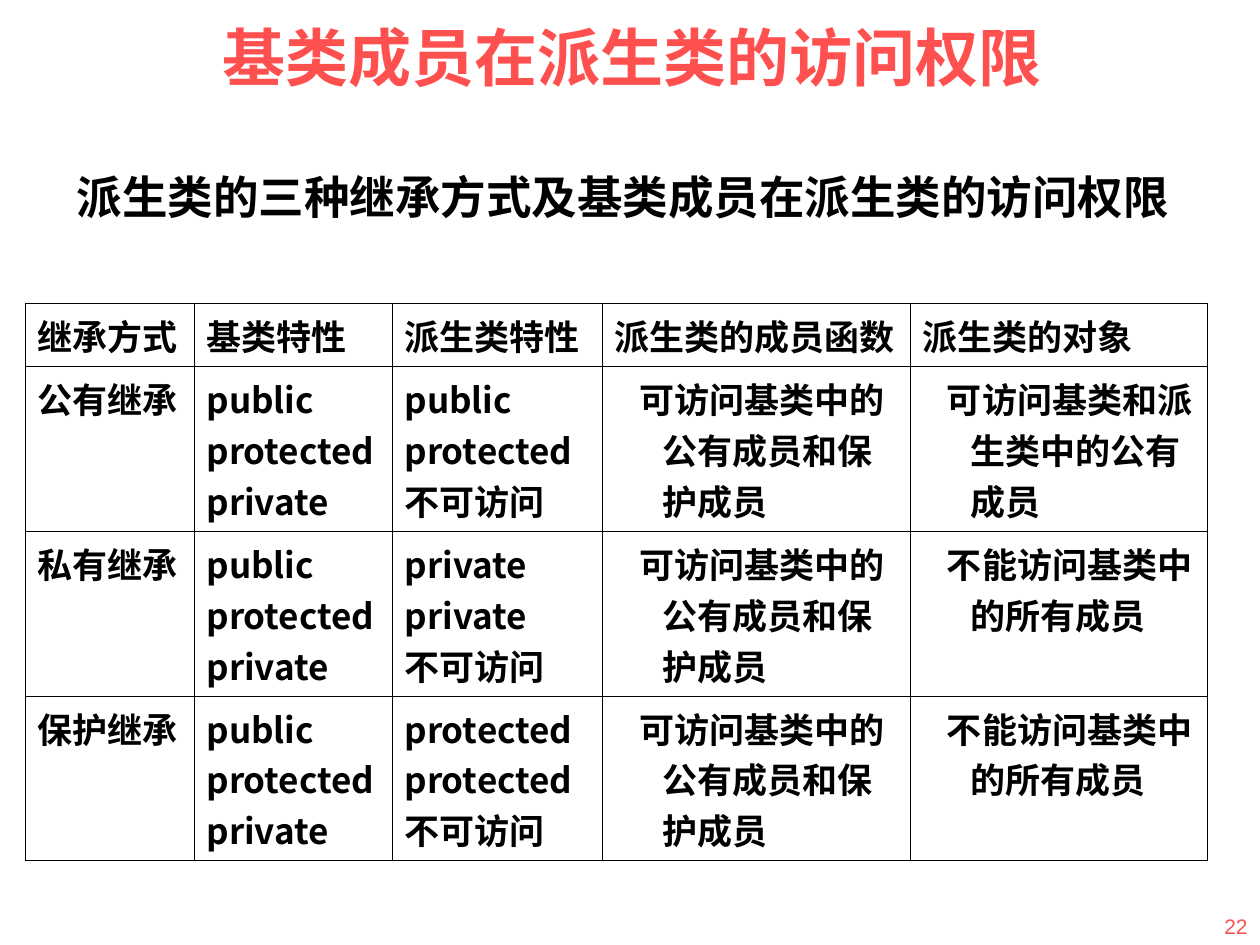
from lxml import etree
from pptx import Presentation
from pptx.dml.color import RGBColor
from pptx.enum.text import MSO_ANCHOR, PP_ALIGN
from pptx.oxml.ns import qn
from pptx.util import Pt

LEFT, CENTER, RIGHT = PP_ALIGN.LEFT, PP_ALIGN.CENTER, PP_ALIGN.RIGHT
MIDDLE, BOTTOM = MSO_ANCHOR.MIDDLE, MSO_ANCHOR.BOTTOM
CORAL = RGBColor(0xFF, 0x50, 0x50)
BLACK = RGBColor(0, 0, 0)
CJK_FONT = "Noto Sans CJK SC"

TITLE = "基类成员在派生类的访问权限 "
SUBTITLE = "派生类的三种继承方式及基类成员在派生类的访问权限"
PAGE_NUMBER = "22"

BASE_ACCESS = ["public", "protected", "private"]
MEMBER_ACCESS = ["可访问基类中的公有成员和保护成员"]
NO_OBJECT_ACCESS = ["不能访问基类中的所有成员"]
HEADER = [["继承方式"], ["基类特性"], ["派生类特性"], ["派生类的成员函数"], ["派生类的对象"]]
BODY = [
    [["公有继承"], BASE_ACCESS, ["public", "protected", "不可访问"],
     MEMBER_ACCESS, ["可访问基类和派生类中的公有成员"]],
    [["私有继承"], BASE_ACCESS, ["private", "private", "不可访问"],
     MEMBER_ACCESS, NO_OBJECT_ACCESS],
    [["保护继承"], BASE_ACCESS, ["protected", "protected", "不可访问"],
     MEMBER_ACCESS, NO_OBJECT_ACCESS],
]
COLUMN_WIDTHS = [96.6, 113.2, 120, 176, 170.2]
ROW_HEIGHTS = [36.2, 94.1, 94.1, 94.1]
TABLE_LEFT, TABLE_TOP = 14.2, 173.4
HANGING = 27.4
FIRST_LINE_OFFSET = 14
FIRST_DESCRIPTION_COLUMN = 3
BORDER_WIDTH = 0.45


def write_text(frame, lines, size, font, color, bold=False, align=LEFT, hanging=None, first_line=0):
    frame.word_wrap = True
    for index, line in enumerate(lines):
        paragraph = frame.paragraphs[0] if index == 0 else frame.add_paragraph()
        paragraph.alignment = align
        if hanging is not None:
            properties = paragraph._p.get_or_add_pPr()
            properties.set("marL", str(Pt(hanging)))
            properties.set("indent", str(Pt(first_line - hanging)))
        run = paragraph.add_run()
        run.text = line
        run.font.size = Pt(size)
        run.font.bold = bold
        run.font.color.rgb = color
        run.font.name = font
        etree.SubElement(run._r.get_or_add_rPr(), qn("a:ea"), typeface=CJK_FONT)


def add_text_box(slide, text, left, top, width, height, anchor=MIDDLE, **text_format):
    box = slide.shapes.add_textbox(Pt(left), Pt(top), Pt(width), Pt(height))
    box.text_frame.vertical_anchor = anchor
    write_text(box.text_frame, [text], **text_format)


def set_borders(cell):
    properties = cell._tc.get_or_add_tcPr()
    for side in ("lnL", "lnR", "lnT", "lnB"):
        line = etree.SubElement(properties, qn(f"a:{side}"), w=str(Pt(BORDER_WIDTH)))
        fill = etree.SubElement(line, qn("a:solidFill"))
        etree.SubElement(fill, qn("a:srgbClr"), val=str(BLACK))


def add_access_table(slide):
    rows = [HEADER] + BODY
    table = slide.shapes.add_table(
        len(rows), len(COLUMN_WIDTHS), Pt(TABLE_LEFT), Pt(TABLE_TOP),
        Pt(sum(COLUMN_WIDTHS)), Pt(sum(ROW_HEIGHTS))).table
    table.first_row = False
    table.horz_banding = False
    for column, width in zip(table.columns, COLUMN_WIDTHS):
        column.width = Pt(width)
    for row, height in zip(table.rows, ROW_HEIGHTS):
        row.height = Pt(height)
    for row_index, row in enumerate(rows):
        for column_index, lines in enumerate(row):
            cell = table.cell(row_index, column_index)
            set_borders(cell)
            cell.fill.background()
            is_description = row_index > 0 and column_index >= FIRST_DESCRIPTION_COLUMN
            write_text(cell.text_frame, lines, size=20, font=CJK_FONT, color=BLACK, bold=True,
                       hanging=HANGING, first_line=FIRST_LINE_OFFSET if is_description else 0)


def main():
    presentation = Presentation()
    presentation.slide_width, presentation.slide_height = Pt(720), Pt(540)
    slide = presentation.slides.add_slide(presentation.slide_layouts[6])
    add_text_box(slide, PAGE_NUMBER, 638, 504, 82, 36, anchor=BOTTOM,
                 size=12, font="Arial", color=CORAL, align=RIGHT)
    add_text_box(slide, TITLE, 76.3, 0, 578.2, 64.8,
                 size=36, font="Calibri", color=CORAL, bold=True, align=CENTER)
    add_access_table(slide)
    add_text_box(slide, SUBTITLE, 36.7, 92.9, 657.4, 38.9,
                 size=26, font="Arial", color=BLACK, bold=True)
    presentation.save("out.pptx")


if __name__ == "__main__":
    main()
